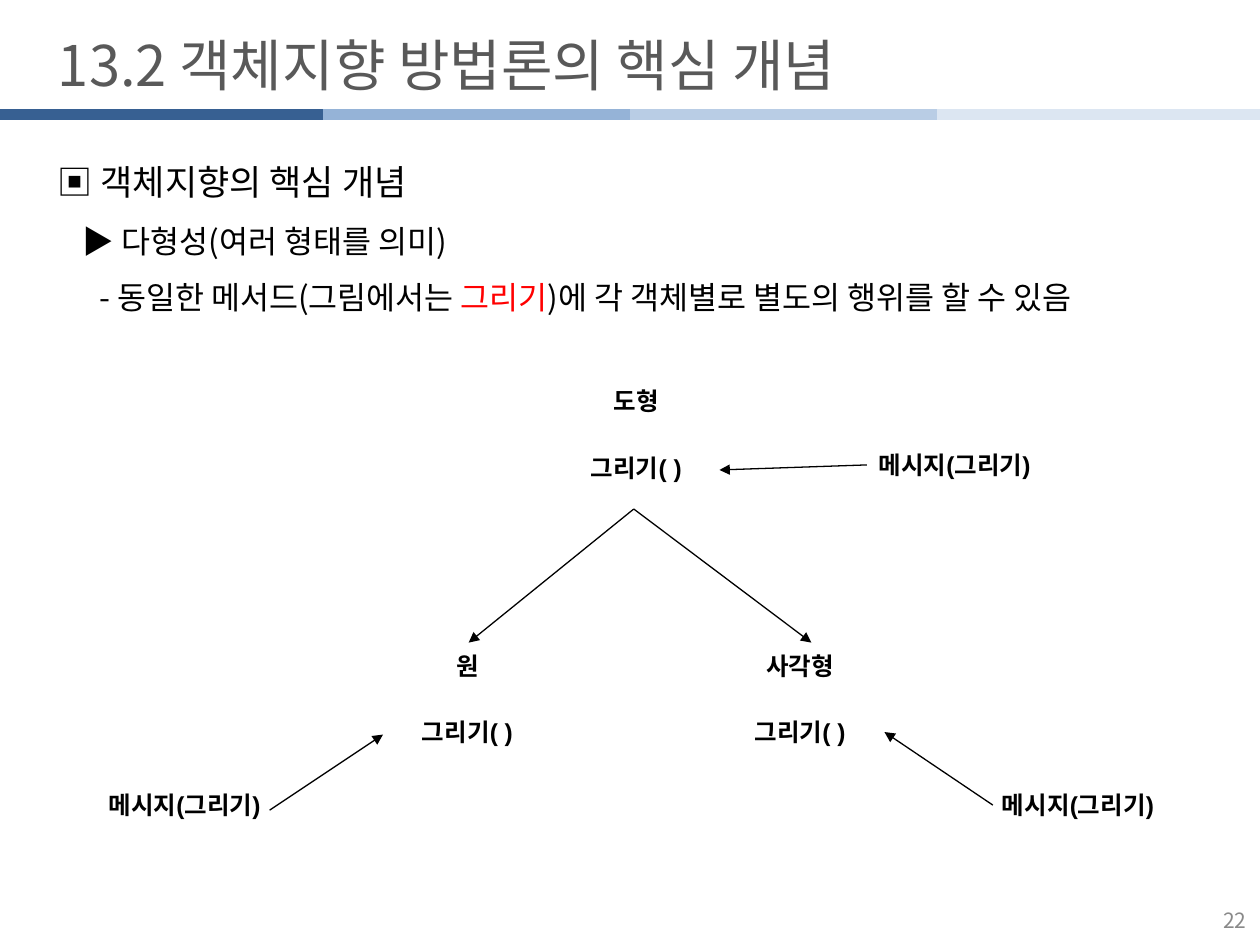
import pptx
import pptx.util
import pptx.dml.color
import pptx.enum.shapes
import pptx.enum.text
import pptx.oxml.ns
from lxml import etree

Inches, Pt = pptx.util.Inches, pptx.util.Pt
ALIGN, ANCHOR = pptx.enum.text.PP_ALIGN, pptx.enum.text.MSO_ANCHOR
KOREAN, LATIN = "Noto Sans CJK KR", "Arial"
BLACK, RED = "000000", "FF0000"

# Content
TITLE = "13.2 객체지향 방법론의 핵심 개념"
PAGE_NUMBER = "22"
BAR_COLOURS = ["376092", "95B3D7", "B9CDE5", "DCE6F2"]
BAR_STARTS = [0, 2.56, 5, 7.44]
BAR_LENGTH, BAR_TOP = 2.56, 0.91
# Indent, size, pieces of (text, colour)
OUTLINE = [
    (0, 20, [("▣ 객체지향의 핵심 개념", BLACK)]),
    (0.2, 18, [("▶ 다형성(여러 형태를 의미)", BLACK)]),
    (0.33, 18, [("- 동일한 메서드(그림에서는 ", BLACK), ("그리기", RED),
                (")에 각 객체별로 별도의 행위를 할 수 있음", BLACK)]),
]
# Class name, left, top
CLASSES = [("도형", 4.53, 3), ("원", 3.19, 5.1), ("사각형", 5.83, 5.1)]
METHOD, METHOD_DROP = "그리기( )", 0.53
MESSAGE = "메시지(그리기)"
MESSAGE_PLACES = [(6.82, 3.51), (7.8, 6.21), (0.71, 6.21)]
CLASS_WIDTH, MESSAGE_WIDTH, LABEL_HEIGHT = 1.04, 1.51, 0.36
ARROWS = [
    ((5.03, 4.04), (3.72, 5.1)),
    ((5.03, 4.04), (6.44, 5.1)),
    ((2.14, 6.43), (3.04, 5.83)),
    ((7.88, 6.39), (7.02, 5.81)),
    ((6.88, 3.69), (5.71, 3.73)),
]


def colour(value):
    return pptx.dml.color.RGBColor.from_string(value)


def add_element(parent, tag, **attributes):
    return etree.SubElement(parent, pptx.oxml.ns.qn(tag), **attributes)


def format_span(span, size, value, font=KOREAN, bold=False):
    span.font.size = Pt(size)
    span.font.color.rgb = colour(value)
    span.font.name = font
    span.font.bold = bold
    # Korean typeface, without pair kerning
    span.font._element.set("kern", "0")
    add_element(span.font._element, "a:ea", typeface=KOREAN)


def place(box, left, top, width, height):
    box.left, box.top = Inches(left), Inches(top)
    box.width, box.height = Inches(width), Inches(height)


def add_text(page, text, area, size, value, align, font=KOREAN, bold=False,
             anchor=ANCHOR.MIDDLE, margin=0.1):
    box = page.shapes.add_textbox(*map(Inches, area))
    frame = box.text_frame
    frame.word_wrap, frame.vertical_anchor = True, anchor
    frame.margin_left = frame.margin_right = Inches(margin)
    frame.text = text
    para = frame.paragraphs[0]
    para.alignment = align
    format_span(para.runs[0], size, value, font, bold)


def add_label(page, text, left, top, width):
    add_text(page, text, (left, top, width, LABEL_HEIGHT), 14, BLACK,
             ALIGN.CENTER, LATIN, True, margin=0)


def add_line(page, start, end, value, width, arrow=False):
    line = page.shapes.add_connector(
        pptx.enum.shapes.MSO_CONNECTOR.STRAIGHT, *map(Inches, start + end))
    line.line.color.rgb = colour(value)
    line.line.width = Pt(width)
    if arrow:
        add_element(line.line._get_or_add_ln(), "a:tailEnd", type="triangle")
    add_element(line._element.spPr, "a:effectLst")


def main():
    deck = pptx.Presentation()
    deck.slide_width, deck.slide_height = Inches(10), Inches(7.5)
    page = deck.slides.add_slide(deck.slide_layouts[5])

    # Title
    title = page.shapes.title
    place(title, 0.36, 0.11, 7.8, 0.8)
    frame = title.text_frame
    frame.text = TITLE
    frame.word_wrap, frame.vertical_anchor = False, ANCHOR.MIDDLE
    frame.paragraphs[0].alignment = ALIGN.LEFT
    format_span(frame.paragraphs[0].runs[0], 32, "595959")

    # Coloured bar under the title
    for left, value in zip(BAR_STARTS, BAR_COLOURS):
        add_line(page, (left, BAR_TOP), (left + BAR_LENGTH, BAR_TOP), value, 6)

    # Outline
    box = page.shapes.add_textbox(*map(Inches, (0.36, 1.06, 9.45, 1.68)))
    frame = box.text_frame
    frame.word_wrap = True
    for index, (indent, size, pieces) in enumerate(OUTLINE):
        para = frame.add_paragraph() if index else frame.paragraphs[0]
        para.line_spacing = 1.5
        para._p.get_or_add_pPr().set("marL", str(Inches(indent)))
        for text, value in pieces:
            span = para.add_run()
            span.text = text
            format_span(span, size, value)

    # Classes with their method, messages and arrows
    for name, left, top in CLASSES:
        add_label(page, name, left, top, CLASS_WIDTH)
        add_label(page, METHOD, left, top + METHOD_DROP, CLASS_WIDTH)
    for left, top in MESSAGE_PLACES:
        add_label(page, MESSAGE, left, top, MESSAGE_WIDTH)
    for start, end in ARROWS:
        add_line(page, start, end, BLACK, 0.75, arrow=True)

    # Page number
    add_text(page, PAGE_NUMBER, (9.02, 7.15, 0.97, 0.33), 12, "898989",
             ALIGN.RIGHT, anchor=ANCHOR.TOP)

    deck.save("out.pptx")


if __name__ == "__main__":
    main()
